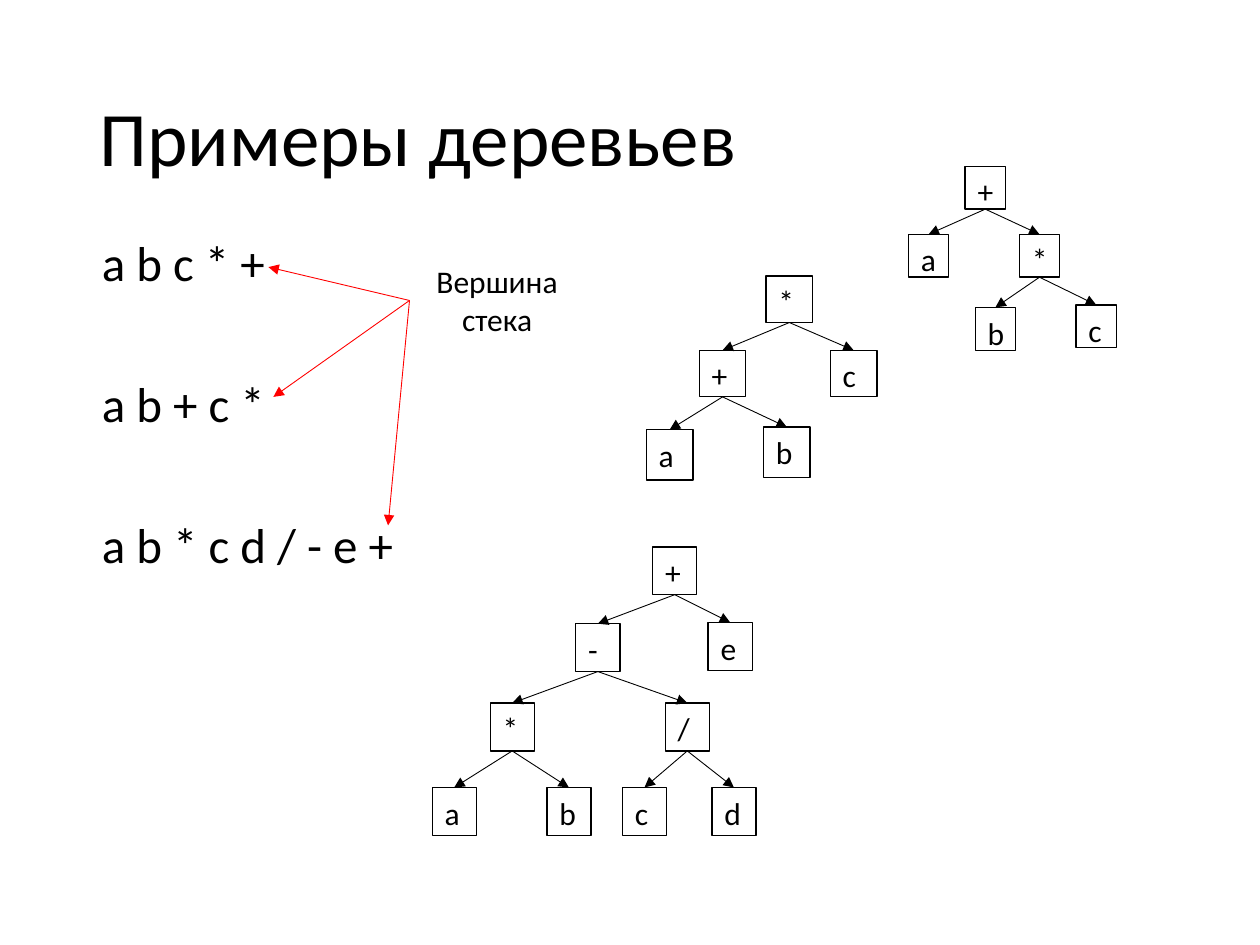
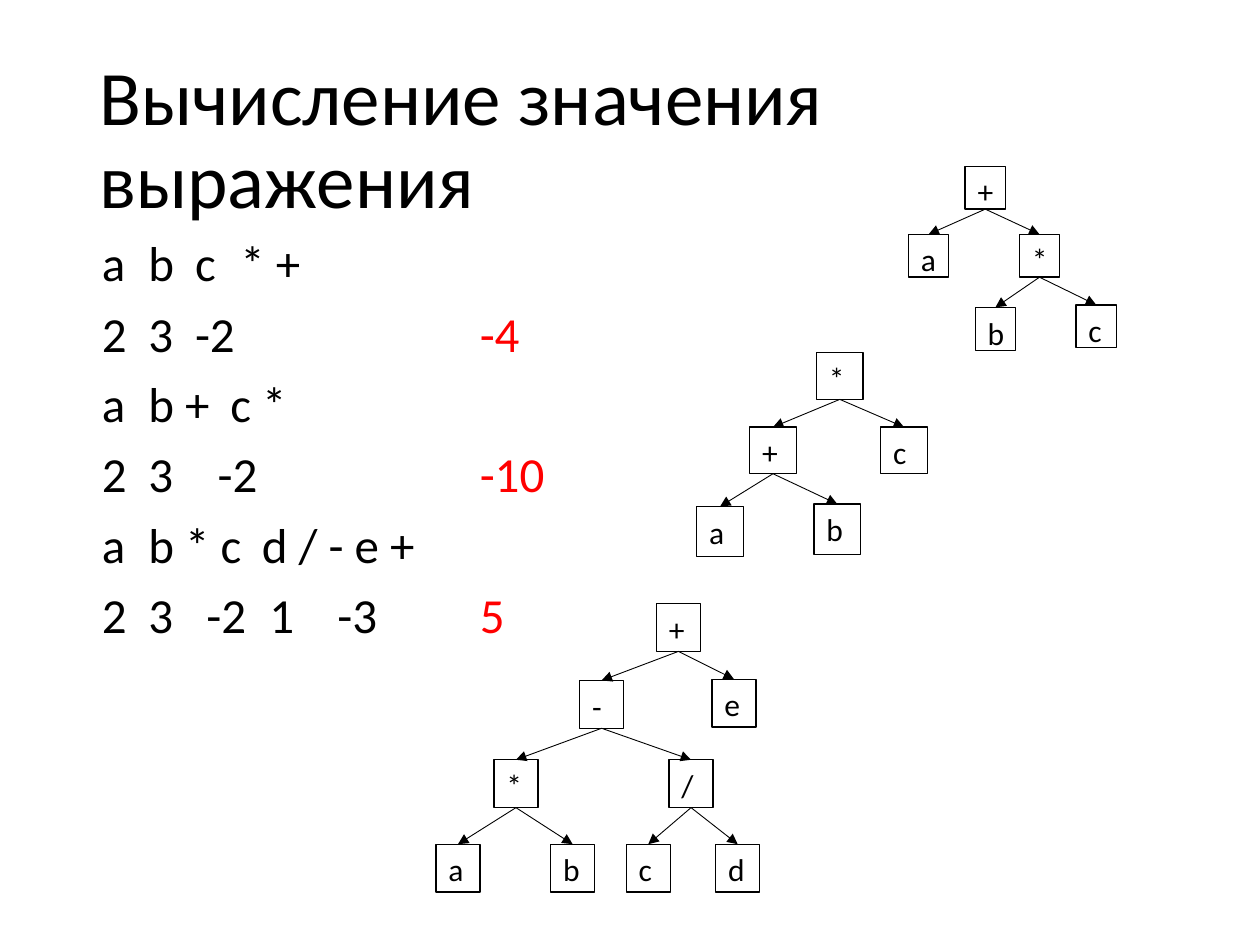
from pptx import Presentation
from pptx.dml.color import RGBColor as Color
from pptx.enum.shapes import MSO_CONNECTOR as Connector, MSO_SHAPE as Preset
from pptx.enum.text import MSO_ANCHOR as Anchor, PP_ALIGN as Align
from pptx.oxml.ns import qn
from pptx.util import Inches, Pt
from lxml.etree import SubElement

COLORS = {"text": "000000", "accent": "FF0000", "background": "FFFFFF"}
FONT = "Calibri"
SLIDE_WIDTH, SLIDE_HEIGHT = Inches(10), Inches(7.5)
COLUMN, ROW = SLIDE_WIDTH / 100, SLIDE_HEIGHT / 75

TITLE_BOX = (6.9, 4, 86.2, 14.5)
BODY_ORIGIN = (7.1, 18.5)
RESULT_TAB = 30

# Each node: label, index of its parent, left, top and optionally its own height.
SUM_TREE = {
    "node": (3.2, 3.4),
    "nodes": [("+", None, 4.5, 0), ("a", 0, 0, 5.4), ("*", 0, 8.8, 5.4),
              ("b", 2, 5.3, 11.2), ("с", 2, 13.3, 11)],
}
PRODUCT_TREE = {
    "node": (3.7, 3.7),
    "nodes": [("*", None, 9.5, 0), ("+", 0, 4.2, 5.9), ("с", 0, 14.6, 5.9),
              ("a", 1, 0, 12.2, 4), ("b", 1, 9.3, 12, 4)],
}
LONG_TREE = {
    "node": (3.5, 3.8),
    "nodes": [("+", None, 17.5, 0), ("-", 0, 11.4, 6.1), ("e", 0, 21.9, 6),
              ("*", 1, 4.6, 12.4), ("/", 1, 18.5, 12.4),
              ("a", 3, 0, 19.1), ("b", 3, 9.1, 19.1),
              ("c", 4, 15.1, 19.1), ("d", 4, 22.2, 19.1)],
}


def across(columns):
    return round(columns * COLUMN)


def down(rows):
    return round(rows * ROW)


def place(left, top, width, height):
    return across(left), down(top), across(width), down(height)


def color(name):
    return Color.from_string(COLORS[name])


def write(shape, lines, size=18, align=Align.LEFT, anchor=Anchor.TOP,
          line_spacing=None, first_gap=0, gap=0, tabs=()):
    frame = shape.text_frame
    frame.word_wrap = True
    frame.vertical_anchor = anchor
    for index, runs in enumerate(lines):
        paragraph = frame.add_paragraph() if index else frame.paragraphs[0]
        paragraph.alignment = align
        paragraph.line_spacing = line_spacing
        paragraph.space_before = Pt(gap if index else first_gap)
        if tabs and tabs[index]:
            stops = SubElement(paragraph._p.get_or_add_pPr(), qn("a:tabLst"))
            for stop in tabs[index]:
                SubElement(stops, qn("a:tab"), pos=str(across(stop)), algn="l")
        for text, color_name in runs:
            run = paragraph.add_run()
            run.text = text
            run.font.name = FONT
            run.font.size = Pt(size)
            run.font.color.rgb = color(color_name)


def add_text(slide, box, lines, **text_format):
    write(slide.shapes.add_textbox(*place(*box)), lines, **text_format)


def add_arrow(shapes, start, end, color_name="text"):
    arrow = shapes.add_connector(Connector.STRAIGHT, across(start[0]), down(start[1]),
                                 across(end[0]), down(end[1]))
    arrow.line.color.rgb = color(color_name)
    arrow.line.width = Pt(0.5)
    SubElement(arrow.line._get_or_add_ln(), qn("a:tailEnd"), type="triangle")
    SubElement(arrow._element.spPr, qn("a:effectLst"))


def add_node(shapes, label, box):
    node = shapes.add_shape(Preset.RECTANGLE, *place(*box))
    node.shadow.inherit = False
    node.fill.background()
    node.line.color.rgb = color("text")
    node.line.width = Pt(0.75)
    write(node, [[(label, "text")]])


def add_tree(slide, tree, left, top):
    shapes = slide.shapes.add_group_shape().shapes
    width, height = tree["node"]
    boxes = []
    for label, parent, x, y, *own_height in tree["nodes"]:
        box = (left + x, top + y, width, *(own_height or [height]))
        boxes.append(box)
        add_node(shapes, label, box)
        if parent is not None:
            parent_left, parent_top, parent_width, parent_height = boxes[parent]
            add_arrow(shapes, (parent_left + parent_width / 2, parent_top + parent_height),
                      (box[0] + width / 2, box[1]))


def add_body(slide, size, lines, gap, tabs=()):
    add_text(slide, BODY_ORIGIN + size, lines, size=28, line_spacing=0.9,
             first_gap=5, gap=gap, tabs=tabs)


def add_stack_note(slide, left, top, targets):
    width, height = 13.9, 7.1
    add_text(slide, (left, top, width, height), [[("Вершина стека", "text")]],
             align=Align.CENTER)
    for x, y in targets:
        add_arrow(slide.shapes, (left, top + height / 2), (left + x, top + y), "accent")


def add_slide(presentation, title, product_origin, long_origin):
    slide = presentation.slides.add_slide(presentation.slide_layouts[6])
    slide.background.fill.solid()
    slide.background.fill.fore_color.rgb = color("background")
    add_text(slide, TITLE_BOX, [[(title, "text")]], size=44,
             anchor=Anchor.MIDDLE, line_spacing=0.9)
    add_tree(slide, SUM_TREE, 72.1, 13.2)
    add_tree(slide, PRODUCT_TREE, *product_origin)
    add_tree(slide, LONG_TREE, *long_origin)
    return slide


def build_examples(presentation):
    slide = add_slide(presentation, "Примеры деревьев", (51.3, 21.9), (34.3, 43.4))
    expressions = ["a b c * +", "a b + c *", "a b * c d / - e +"]
    add_body(slide, (28.1, 42.8), [[(text, "text")] for text in expressions], gap=50.4)
    add_stack_note(slide, 32.5, 20.3, [(-11.2, 0.9), (-10.8, 11.2), (-1.7, 21.4)])


def build_evaluation(presentation):
    slide = add_slide(presentation, "Вычисление значения выражения",
                      (55.3, 28), (34.6, 47.9))
    rows = [
        ("a\tb\tc\t* +", None, [3.7, 7.4, 11]),
        ("2\t3\t-2\t", "-4", [3.7, 7.4, RESULT_TAB]),
        ("a\tb +\tc *", None, [3.7, 10.2]),
        ("2\t3\t-2\t", "-10", [3.7, 9.2, RESULT_TAB]),
        ("a\tb * c\td / - e +", None, [3.7, 12.7]),
        ("2\t3\t-2\t1\t-3\t", "5", [3.7, 8.3, 13.3, 18.7, RESULT_TAB]),
    ]
    lines = [[(text, "text")] + ([(result, "accent")] if result else [])
             for text, result, _ in rows]
    add_body(slide, (41, 35.8), lines, gap=10, tabs=[stops for _, _, stops in rows])


def main():
    presentation = Presentation()
    presentation.slide_width, presentation.slide_height = SLIDE_WIDTH, SLIDE_HEIGHT
    build_examples(presentation)
    build_evaluation(presentation)
    presentation.save("out.pptx")


if __name__ == "__main__":
    main()
